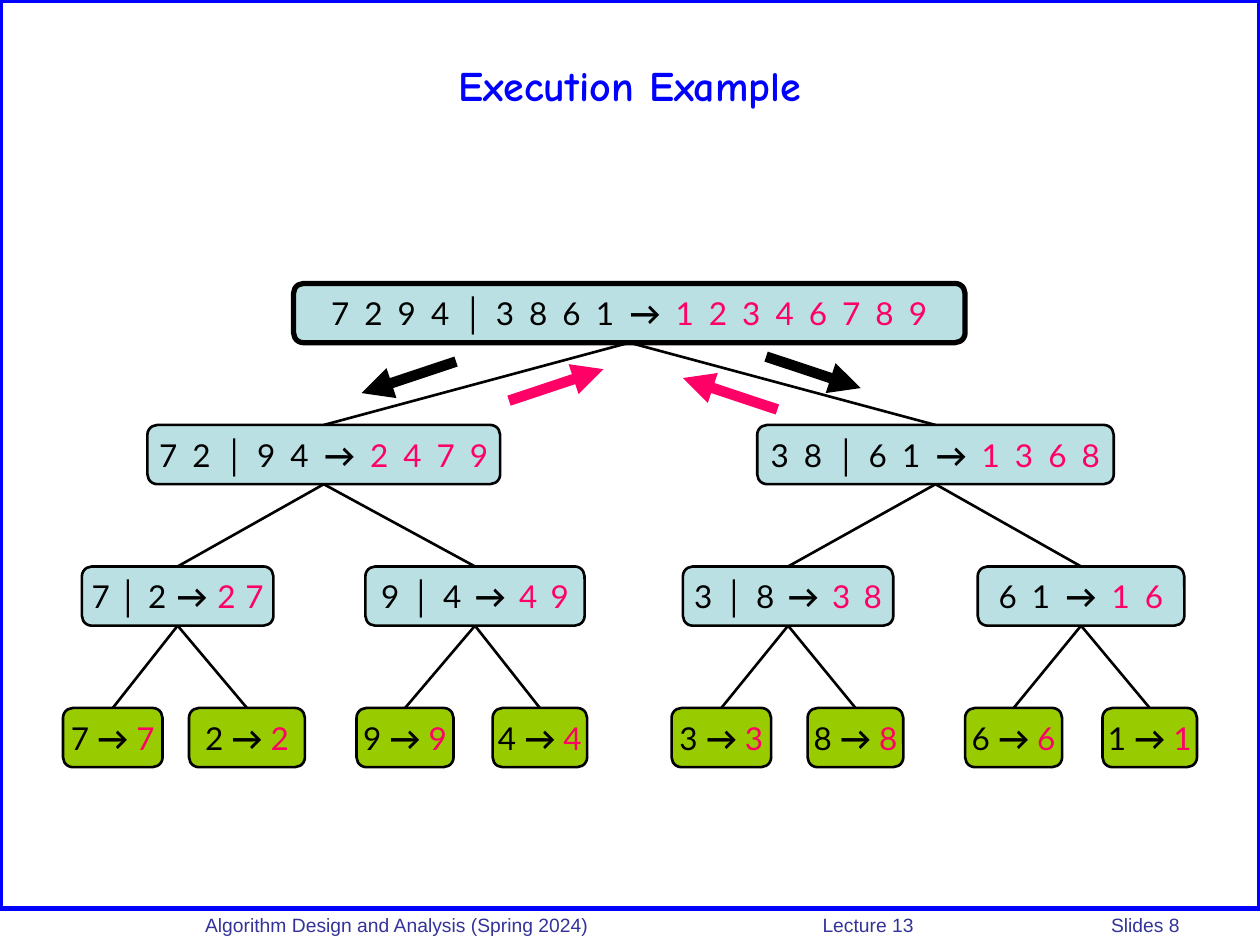
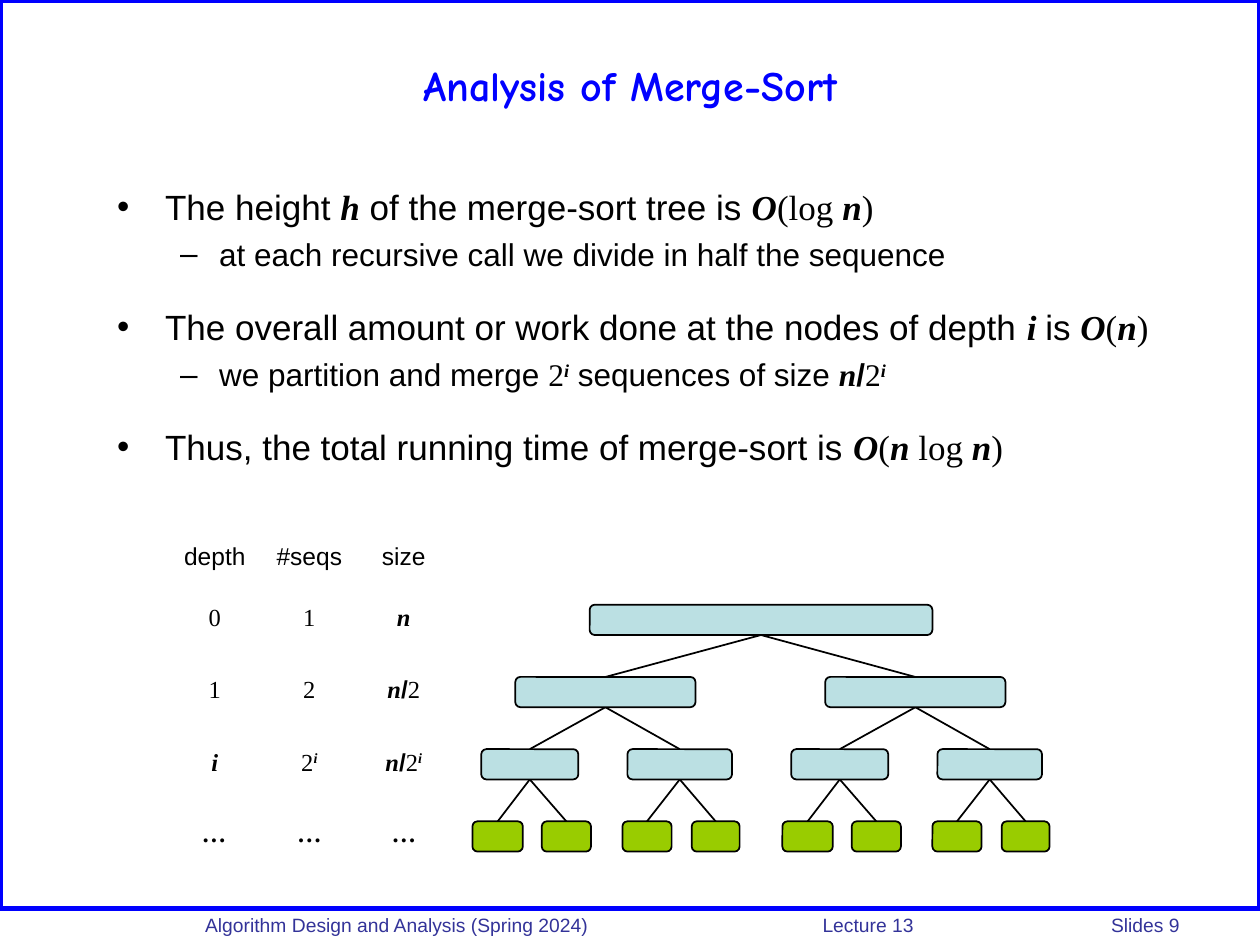
"""Build two merge-sort lecture slides: an execution tree and its analysis."""
from dataclasses import dataclass
from typing import Any, NamedTuple

from lxml.etree import SubElement
from pptx import Presentation
from pptx.dml.color import RGBColor
from pptx.enum.shapes import MSO_CONNECTOR, MSO_SHAPE
from pptx.enum.text import MSO_ANCHOR, MSO_AUTO_SIZE, PP_ALIGN
from pptx.oxml.ns import qn
from pptx.util import Inches, Pt

COLORS = {
    "frame": "0000FF",
    "footer": "333399",
    "ink": "000000",
    "sorted": "FF0066",
    "inner": "BBE0E3",
    "leaf": "99CC00",
}
FORMATS: dict[str, dict[str, Any]] = {
    "title": {"name": "Comic Neue", "size": Pt(24), "bold": True},
    "footer": {"name": "Arial", "size": Pt(11)},
    "plain": {"name": "Arial"},
    "slash": {"name": "Arial", "bold": True},
    "math": {"name": "Times New Roman"},
    "strong": {"name": "Times New Roman", "bold": True},
    "variable": {"name": "Times New Roman", "bold": True, "italic": True},
    "exponent": {"name": "Times New Roman", "bold": True, "italic": True},
    "number": {"name": "Lato", "size": Pt(18), "bold": False},
    "bar": {"name": "Arial", "size": Pt(18), "bold": True},
    "arrow": {"name": "Lato", "size": Pt(18), "bold": True},
}


class Piece(NamedTuple):
    """A stretch of text with one format."""
    text: str
    style: str = "plain"


@dataclass
class Node:
    """A box of the recursion tree."""
    left: float
    width: float
    sequence: str = ""
    spacing: float = 2

    @property
    def center(self) -> float:
        """Return the horizontal middle."""
        return self.left + self.width / 2


@dataclass
class Tree:
    """A binary recursion tree, stored level by level."""
    levels: list[list[Node]]
    top: float
    pitch: float
    height: float
    line: float
    root_line: float


class Arrow(NamedTuple):
    """A thick arrow between the root and its halves."""
    start: tuple[float, float]
    end: tuple[float, float]
    color: str


@dataclass
class Bullet:
    """A list entry of the analysis."""
    pieces: list[Piece]
    level: int = 0
    before: float = 0


O, N, I = (Piece(letter, "variable") for letter in "Oni")
TWO = Piece("2", "math")
POWER = [TWO, Piece("i", "exponent")]
SHARE = [N, Piece("/", "slash")]
OPEN, CLOSE = Piece("(", "math"), Piece(")", "math")

EXECUTION = Tree(
    [
        [Node(2.33, 5.33, "7 2 9 4 │ 3 8 6 1 → 1 2 3 4 6 7 8 9")],
        [Node(1.17, 2.8, "7 2 │ 9 4 → 2 4 7 9"),
         Node(6.01, 2.83, "3 8 │ 6 1 → 1 3 6 8")],
        [Node(0.65, 1.52, "7 │ 2 → 2 7", 0.5), Node(2.9, 1.74, "9 │ 4 → 4 9", 1.5),
         Node(5.42, 1.67, "3 │ 8 → 3 8", 1.5), Node(7.76, 1.64, "6 1 → 1 6")],
        [Node(left, width, f"{digit} → {digit}", 0) for left, width, digit in (
            (0.5, 0.79, 7), (1.5, 0.92, 2), (2.83, 0.77, 9), (3.91, 0.75, 4),
            (5.33, 0.79, 3), (6.41, 0.76, 8), (7.66, 0.77, 6), (8.75, 0.75, 1))],
    ],
    top=2.25, pitch=1.123, height=0.47, line=1.5, root_line=3,
)
HALF_TREE = [
    [(4.09, 1.43)],
    [(3.82, 0.77), (4.98, 0.83)],
    [(3.75, 0.4), (4.3, 0.39), (4.94, 0.39), (5.49, 0.38)],
]
HALF_SHIFT = 2.46
OUTLINE = Tree(
    [[Node(4.68, 2.72)]] + [
        [Node(left + shift, width) for shift in (0, HALF_SHIFT) for left, width in level]
        for level in HALF_TREE
    ],
    top=4.8, pitch=0.573, height=0.24, line=1, root_line=1,
)
ARROWS = [
    Arrow((3.62, 2.87), (2.87, 3.12), "ink"),
    Arrow((6.17, 3.25), (5.42, 3), "sorted"),
    Arrow((4.04, 3.18), (4.79, 2.93), "sorted"),
    Arrow((6.08, 2.83), (6.83, 3.08), "ink"),
]
BULLETS = [
    Bullet([Piece("The height "), Piece("h", "variable"),
            Piece(" of the merge-sort tree is "), O, Piece("(log ", "math"), N, CLOSE]),
    Bullet([Piece("at each recursive call we divide in half the sequence")], 1, 4.5),
    Bullet([Piece("The overall amount or work done at the nodes of depth "),
            Piece("i ", "variable"), Piece("is "), O, OPEN, N, CLOSE], 0, 18.5),
    Bullet([Piece("we partition and merge "), *POWER,
            Piece(" sequences of size "), *SHARE, *POWER], 1, 4.5),
    Bullet([Piece("Thus, the total running time of merge-sort is "), O, OPEN, N,
            Piece(" log ", "math"), N, CLOSE], 0, 18.5),
]
LEVEL_INDENTS = [(0.38, -0.38), (0.81, -0.31)]
LEVEL_SIZES = [20, 18]
DEPTH_ROWS = [
    [[Piece("depth")], [Piece("#seqs")], [Piece("size")]],
    [[Piece("0", "math")], [Piece("1", "math")], [N]],
    [[Piece("1", "math")], [TWO], [*SHARE, TWO]],
    [[I], POWER, [*SHARE, *POWER]],
    [[Piece("…", "variable")], [Piece("…", "strong")], [Piece("…", "strong")]],
]
ROW_HEIGHTS = [0.31, 0.57, 0.58, 0.57, 0.57]


def rgb(color: str) -> RGBColor:
    """Look up a named colour."""
    return RGBColor.from_string(COLORS[color])


def write(paragraph: Any, piece: Piece, color: str = "ink",
          size: float | None = None, spacing: float = 0) -> None:
    """Append a formatted piece to a paragraph."""
    run = paragraph.add_run()
    run.text = piece.text
    for attribute, value in FORMATS[piece.style].items():
        setattr(run.font, attribute, value)
    run.font.color.rgb = rgb(color)
    if size:
        run.font.size = Pt(size)
    if spacing:
        run.font._element.set("spc", str(round(spacing * 100)))
    if piece.style == "exponent":
        run.font._element.set("baseline", "30000")


def place(item: Any, left: float, top: float, width: float, height: float) -> None:
    """Move and size an item in inches."""
    item.left, item.top = Inches(left), Inches(top)
    item.width, item.height = Inches(width), Inches(height)


def draw_line(slide: Any, start: tuple[float, float], end: tuple[float, float],
              weight: float, color: str = "ink", arrow: bool = False) -> None:
    """Draw a straight connector, with an arrowhead at its end if asked."""
    line = slide.shapes.add_connector(
        MSO_CONNECTOR.STRAIGHT, *(Inches(value) for value in (*start, *end)))
    line.line.color.rgb = rgb(color)
    line.line.width = Pt(weight)
    properties = line._element.spPr
    if arrow:
        SubElement(properties.find(qn("a:ln")), qn("a:tailEnd"), type="triangle")
    SubElement(properties, qn("a:effectLst"))


def write_sequence(node: Node, frame: Any) -> None:
    """Write the input of a node, its split and its sorted result."""
    frame.word_wrap = False
    frame.vertical_anchor = MSO_ANCHOR.MIDDLE
    paragraph = frame.paragraphs[0]
    paragraph.alignment = PP_ALIGN.CENTER
    unsorted, result = node.sequence.split("→ ")
    first, bar, second = unsorted.partition("│")
    for text, style, color in ((first, "number", "ink"), (bar, "bar", "ink"),
                               (second, "number", "ink"), ("→ ", "arrow", "ink"),
                               (result, "number", "sorted")):
        if text:
            write(paragraph, Piece(text, style), color,
                  spacing=0 if style == "bar" else node.spacing)


def draw_tree(slide: Any, tree: Tree) -> None:
    """Draw the edges of a tree and then its nodes."""
    for depth, level in enumerate(tree.levels[1:], 1):
        top = tree.top + depth * tree.pitch
        for index, child in enumerate(level):
            parent = tree.levels[depth - 1][index // 2]
            draw_line(slide, (parent.center, top - tree.pitch + tree.height),
                      (child.center, top), tree.line)
    for depth, level in enumerate(tree.levels):
        for node in level:
            box = slide.shapes.add_shape(
                MSO_SHAPE.ROUNDED_RECTANGLE, Inches(node.left),
                Inches(tree.top + depth * tree.pitch), Inches(node.width), Inches(tree.height))
            box.shadow.inherit = False
            box.fill.solid()
            box.fill.fore_color.rgb = rgb("leaf" if level is tree.levels[-1] else "inner")
            box.line.color.rgb = rgb("ink")
            box.line.width = Pt(tree.line if depth else tree.root_line)
            if node.sequence:
                write_sequence(node, box.text_frame)


def start_slide(deck: Any, layout: int, title: str, number: int) -> Any:
    """Add a slide with the shared frame, footer and title."""
    slide = deck.slides.add_slide(deck.slide_layouts[layout])
    border = slide.shapes.add_shape(MSO_SHAPE.RECTANGLE, 0, 0, Inches(10), Inches(7.21))
    border.shadow.inherit = False
    border.fill.background()
    border.line.color.rgb = rgb("frame")
    border.line.width = Pt(3)

    footer = slide.shapes.add_textbox(Inches(1.33), Inches(7.2), Inches(8.67), Inches(0.26))
    footer.text_frame.word_wrap = True
    line = footer.text_frame.paragraphs[0]
    properties = line._p.get_or_add_pPr()
    properties.set("marL", str(Inches(0.2)))
    stops = SubElement(properties, qn("a:tabLst"))
    for position in (4.9, 7.19):
        SubElement(stops, qn("a:tab"), pos=str(Inches(position)), algn="l")
    write(line, Piece("Algorithm Design and Analysis (Spring 2024)\tLecture 13"
                      f"\tSlides {number}", "footer"), "footer")

    heading = slide.shapes.title
    place(heading, 0.5, 0.17, 9, 1)
    heading.text_frame.auto_size = MSO_AUTO_SIZE.NONE
    heading.text_frame.vertical_anchor = MSO_ANCHOR.MIDDLE
    heading.text_frame.paragraphs[0].alignment = PP_ALIGN.CENTER
    write(heading.text_frame.paragraphs[0], Piece(title, "title"), "frame")
    return slide


def fill_bullets(body: Any) -> None:
    """Write the analysis into the body placeholder."""
    place(body, 0.83, 1.42, 8.67, 2.75)
    frame = body.text_frame
    frame.auto_size = MSO_AUTO_SIZE.NONE
    for index, bullet in enumerate(BULLETS):
        paragraph = frame.add_paragraph() if index else frame.paragraphs[0]
        paragraph.level = bullet.level
        paragraph.space_before = Pt(bullet.before)
        for attribute, value in zip(("marL", "indent"), LEVEL_INDENTS[bullet.level]):
            paragraph._p.get_or_add_pPr().set(attribute, str(Inches(value)))
        for piece in bullet.pieces:
            write(paragraph, piece, size=LEVEL_SIZES[bullet.level])


def draw_depth_table(slide: Any) -> None:
    """Add the table of sequence counts and sizes by depth."""
    table = slide.shapes.add_table(len(DEPTH_ROWS), 3, Inches(1.33), Inches(4.31),
                                   Inches(2.25), Inches(2.6)).table
    table.first_row = table.horz_banding = False
    for row, (entries, height) in enumerate(zip(DEPTH_ROWS, ROW_HEIGHTS)):
        table.rows[row].height = Inches(height)
        for column, pieces in enumerate(entries):
            cell = table.cell(row, column)
            cell.fill.background()
            cell.vertical_anchor = MSO_ANCHOR.MIDDLE if row else MSO_ANCHOR.TOP
            for side in ("left", "right", "top", "bottom"):
                setattr(cell, f"margin_{side}", 0)
            paragraph = cell.text_frame.paragraphs[0]
            paragraph.alignment = PP_ALIGN.CENTER
            for piece in pieces:
                write(paragraph, piece, size=14)


def main() -> None:
    """Build and save the deck."""
    deck = Presentation()
    deck.slide_width, deck.slide_height = Inches(10), Inches(7.5)

    execution = start_slide(deck, 5, "Execution Example", 8)
    draw_tree(execution, EXECUTION)
    for arrow in ARROWS:
        draw_line(execution, arrow.start, arrow.end, 6, arrow.color, arrow=True)

    analysis = start_slide(deck, 1, "Analysis of Merge-Sort", 9)
    fill_bullets(analysis.placeholders[1])
    draw_tree(analysis, OUTLINE)
    draw_depth_table(analysis)

    deck.save("out.pptx")


if __name__ == "__main__":
    main()
